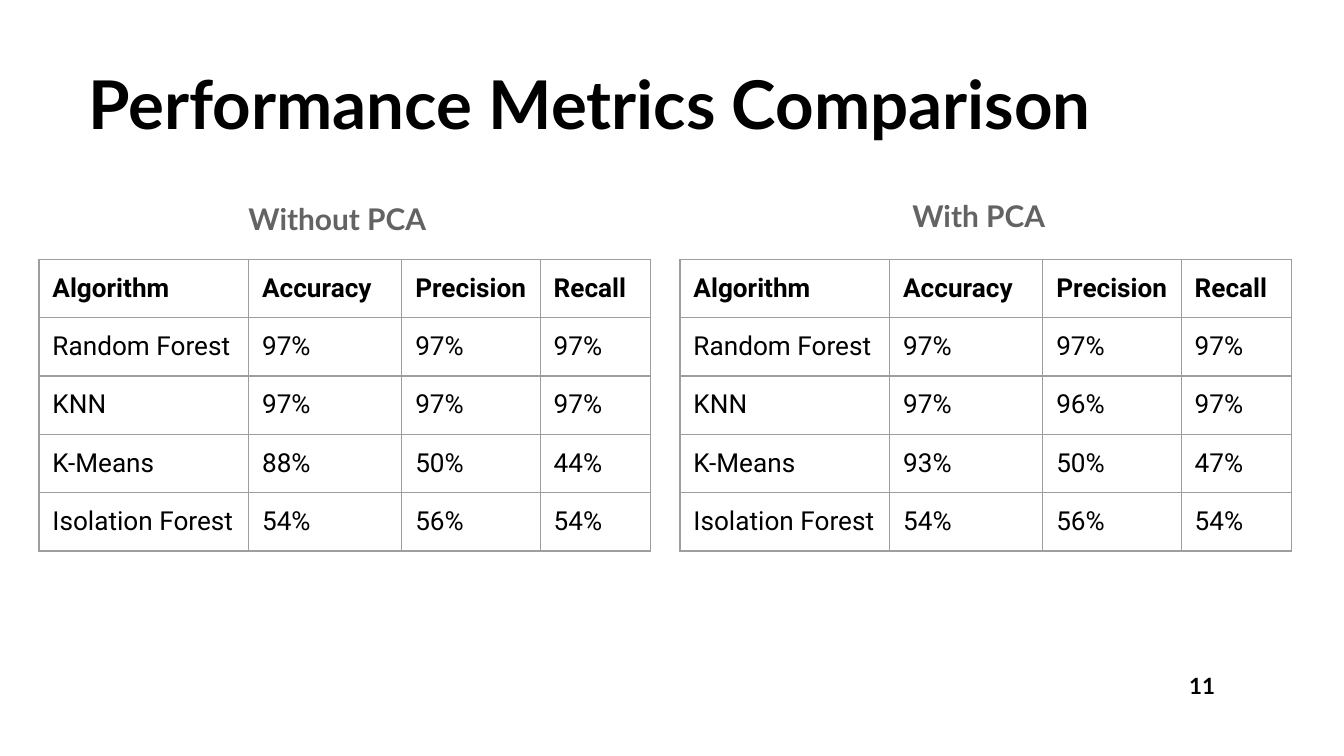
from lxml.etree import SubElement
from pptx import Presentation
from pptx.dml.color import RGBColor
from pptx.enum.text import MSO_ANCHOR, PP_ALIGN
from pptx.oxml.ns import qn
from pptx.util import Inches, Pt

COLORS = {"text": "000000", "heading": "636363", "border": "9E9E9E"}
MARGIN = 0.1
TABLE_TOP = 1.93
ROW_HEIGHT = 0.42
COLUMN_WIDTHS = [1.56, 1.14, 1.03, 0.82]
HEADER = ["Algorithm", "Accuracy", "Precision", "Recall"]
WITHOUT_PCA = [
    ["Random Forest", "97%", "97%", "97%"],
    ["KNN", "97%", "97%", "97%"],
    ["K-Means", "88%", "50%", "44%"],
    ["Isolation Forest", "54%", "56%", "54%"],
]
WITH_PCA = [
    ["Random Forest", "97%", "97%", "97%"],
    ["KNN", "97%", "96%", "97%"],
    ["K-Means", "93%", "50%", "47%"],
    ["Isolation Forest", "54%", "56%", "54%"],
]


def write_text(frame, text, size, font="Lato", color="text", bold=True,
               align=PP_ALIGN.LEFT):
    paragraph = frame.paragraphs[0]
    paragraph.alignment = align
    run = paragraph.add_run()
    run.text = text
    run.font.name = font
    run.font.size = Pt(size)
    run.font.bold = bold
    run.font.color.rgb = RGBColor.from_string(COLORS[color])


def set_margins(target, margin):
    """Give a text frame or a table cell the same margin on all sides."""
    target.margin_left = target.margin_right = Inches(margin)
    target.margin_top = target.margin_bottom = Inches(margin)


def add_text(slide, text, left, top, width, height, margin=MARGIN,
             anchor=MSO_ANCHOR.TOP, **text_format):
    shape = slide.shapes.add_textbox(
        Inches(left), Inches(top), Inches(width), Inches(height))
    frame = shape.text_frame
    frame.word_wrap = True
    frame.vertical_anchor = anchor
    set_margins(frame, margin)
    write_text(frame, text, **text_format)


def add_borders(cell):
    properties = cell._tc.get_or_add_tcPr()
    for side in ("a:lnL", "a:lnR", "a:lnT", "a:lnB"):
        line = SubElement(properties, qn(side), w=str(Pt(0.75)))
        fill = SubElement(line, qn("a:solidFill"))
        SubElement(fill, qn("a:srgbClr"), val=COLORS["border"])


def add_metrics_table(slide, left, rows):
    rows = [HEADER] + rows
    table = slide.shapes.add_table(
        len(rows), len(HEADER), Inches(left), Inches(TABLE_TOP),
        Inches(sum(COLUMN_WIDTHS)), Inches(ROW_HEIGHT * len(rows))).table
    table.first_row = table.horz_banding = False
    for column, width in zip(table.columns, COLUMN_WIDTHS):
        column.width = Inches(width)
    for row_index, values in enumerate(rows):
        table.rows[row_index].height = Inches(ROW_HEIGHT)
        for column_index, value in enumerate(values):
            cell = table.cell(row_index, column_index)
            set_margins(cell, MARGIN)
            add_borders(cell)
            cell.fill.background()
            write_text(cell.text_frame, value, size=14, font="Roboto",
                       bold=row_index == 0)


def main():
    presentation = Presentation()
    presentation.slide_width = Inches(10)
    presentation.slide_height = Inches(10 * 9 / 16)
    slide = presentation.slides.add_slide(presentation.slide_layouts[6])

    add_text(slide, "Performance Metrics Comparison", 0.66, 0.42, 9.17, 0.68,
             margin=0, anchor=MSO_ANCHOR.MIDDLE, size=36)
    add_text(slide, "11", 8.54, 4.9, 0.6, 0.43, size=12, align=PP_ALIGN.RIGHT)
    add_text(slide, "Without PCA", 1.75, 1.39, 2.92, 0.43,
             size=16, color="heading")
    add_text(slide, "With PCA", 6.69, 1.37, 3.28, 0.47,
             size=16, color="heading")
    add_metrics_table(slide, 0.29, WITHOUT_PCA)
    add_metrics_table(slide, 5.06, WITH_PCA)
    presentation.save("out.pptx")


if __name__ == "__main__":
    main()
